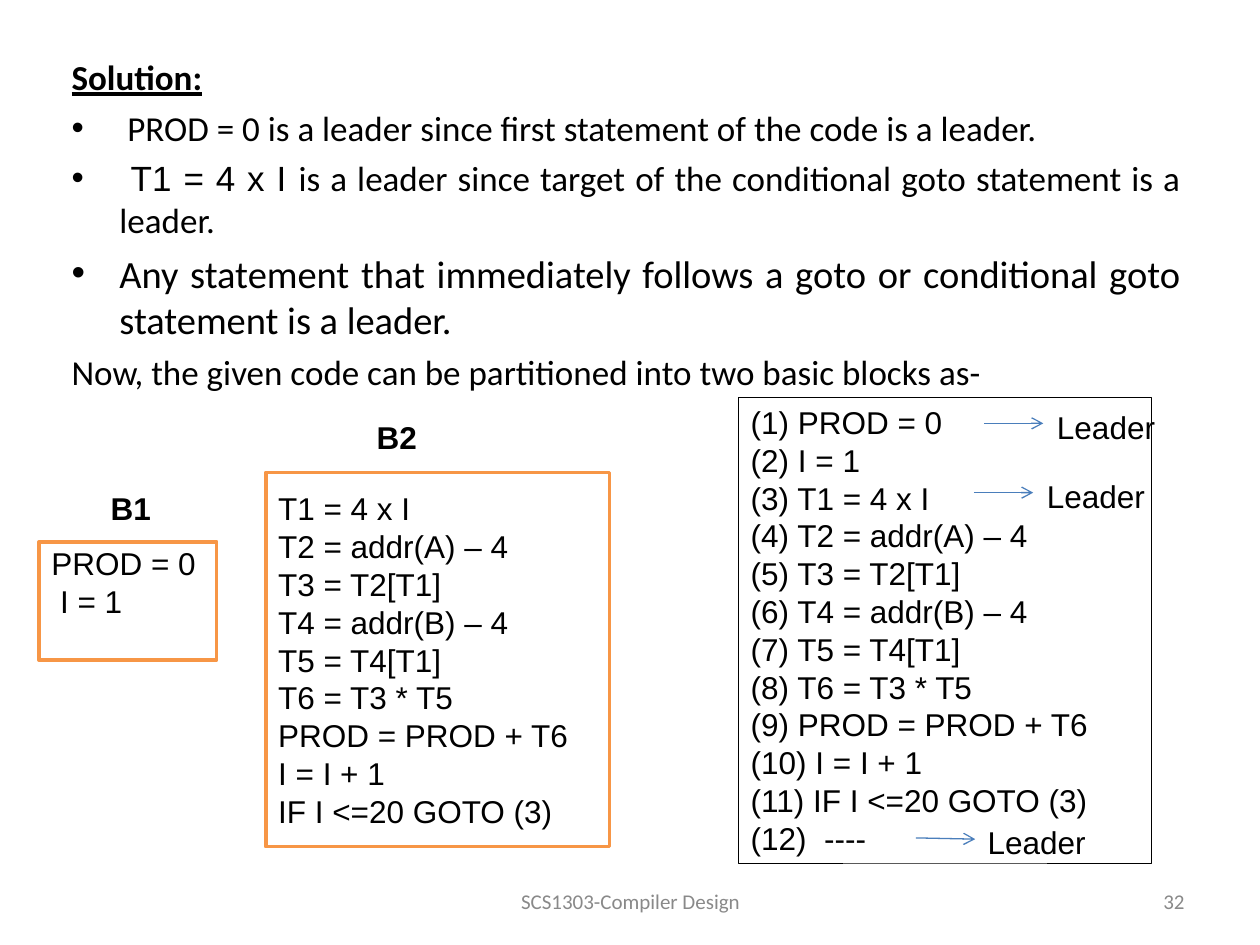
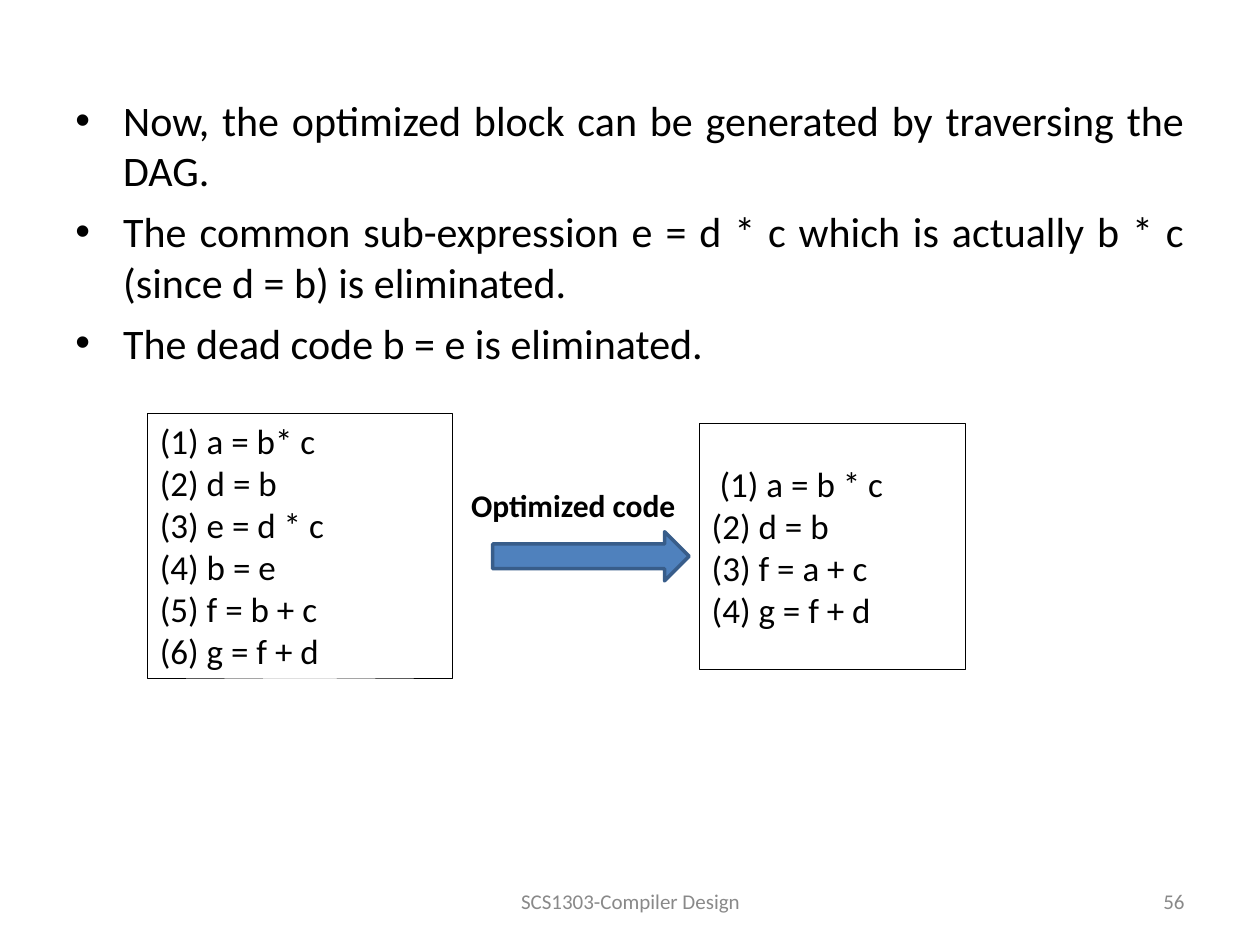
"""Build two compiler design slides: basic blocks with leaders, and DAG optimization."""
import pptx
import pptx.dml.color
import pptx.enum.shapes
import pptx.enum.text
import pptx.oxml
import pptx.oxml.ns
import pptx.util

Inches = pptx.util.Inches
Pt = pptx.util.Pt
Align = pptx.enum.text.PP_ALIGN
Anchor = pptx.enum.text.MSO_ANCHOR
Shape = pptx.enum.shapes.MSO_SHAPE
SPACE = pptx.oxml.ns.nsdecls("a")
BLACK, GREY, ORANGE = "000000", "898989", "F79646"
BLUE, NAVY, STEEL = "4F81BD", "385D8A", "4A7EBB"


def hue(code):
    return pptx.dml.color.RGBColor.from_string(code)


def add(para, text, size, face, code=BLACK, bold=False, under=False):
    run = para.add_run()
    run.text = text
    font = run.font
    font.size, font.name = Pt(size), face
    font.bold, font.underline = bold, under
    font.color.rgb = hue(code)


deck = pptx.Presentation()
deck.slide_width, deck.slide_height = Inches(10), Inches(7.5)
blank = deck.slide_layouts[6]
blocks, dag = [deck.slides.add_slide(blank) for _ in range(2)]

points = [
    (blocks, 0.47, 0.39, 6.8, 5, [
        (False, [("Solution:", 20, "Calibri", True)]),
        (True, [(" PROD = 0 is a leader since first statement of the code is a leader.",
                 20, "Calibri", False)]),
        (True, [(" T1 = 4 x I ", 20, "Arial", False),
                ("is a leader since target of the conditional goto statement is a leader.",
                 20, "Calibri", False)]),
        (True, [("Any statement that immediately follows a goto or conditional goto "
                 "statement is a leader.", 22, "Calibri", False)]),
        (False, [("Now, the given code can be partitioned into two basic blocks as-",
                  20, "Calibri", False)]),
    ]),
    (dag, 0.5, 0.7, 6, 6, [
        (True, [(text, 24, "Calibri", False)]) for text in (
            "Now, the optimized block can be generated by traversing the DAG.",
            "The common sub-expression e = d * c which is actually b * c "
            "(since d = b) is eliminated.",
            "The dead code b = e is eliminated.")
    ]),
]
for slide, left, top, height, gap, rows in points:
    box = slide.shapes.add_textbox(Inches(left), Inches(top), Inches(9), Inches(height))
    frame = box.text_frame
    frame.word_wrap = True
    for i, (dot, runs) in enumerate(rows):
        para = frame.add_paragraph() if i else frame.paragraphs[0]
        para.alignment = Align.JUSTIFY
        para.space_before = Pt(gap if i else 0)
        props = para._p.get_or_add_pPr()
        props.set("marL", str(Inches(0.38)))
        props.set("indent", str(Inches(-0.38)))
        if dot:
            for mark in ('buFont {} typeface="Arial"', 'buChar {} char="•"'):
                props.append(pptx.oxml.parse_xml("<a:" + mark.format(SPACE) + "/>"))
        for text, size, face, head in runs:
            add(para, text, size, face, bold=head, under=head)

for slide, number in ((blocks, "32"), (dag, "56")):
    for left, width, align, text in (
            (3.42, 3.17, Align.CENTER, "SCS1303-Compiler Design"),
            (7.17, 2.33, Align.RIGHT, number)):
        box = slide.shapes.add_textbox(Inches(left), Inches(6.95), Inches(width), Inches(0.4))
        frame = box.text_frame
        frame.word_wrap = True
        frame.vertical_anchor = Anchor.MIDDLE
        frame.paragraphs[0].alignment = align
        add(frame.paragraphs[0], text, 12, "Calibri", GREY)

first = ["PROD = 0", " I = 1"]
loop = ["T1 = 4 x I", "T2 = addr(A) – 4", "T3 = T2[T1]", "T4 = addr(B) – 4",
        "T5 = T4[T1]", "T6 = T3 * T5", "PROD = PROD + T6", "I = I + 1",
        "IF I <=20 GOTO (3)"]
whole = [f"({n}) {line.strip()}" for n, line in enumerate(first + loop, 1)] + ["(12)  ----"]
before = ["(1) a = b* c", "(2) d = b", "(3) e = d * c", "(4) b = e", "(5) f = b + c",
          "(6) g = f + d"]
after = [" (1) a = b * c", "(2) d = b", "(3) f = a + c", "(4) g = f + d"]
codes = [
    (blocks, 0.31, 4.3, 1.41, 0.94, ORANGE, 2, "Arial", 18, Anchor.TOP, 0.02, first),
    (blocks, 2.11, 3.75, 2.73, 2.97, ORANGE, 2, "Arial", 18, Anchor.MIDDLE, 0.05, loop),
    (blocks, 5.86, 3.15, 3.28, 3.7, BLACK, 0.25, "Arial", 18, Anchor.TOP, 0.05, whole),
    (dag, 1.17, 3.28, 2.42, 2.1, BLACK, 0.25, "Calibri", 20, Anchor.TOP, 0.05, before),
    (dag, 5.55, 3.36, 2.11, 1.95, BLACK, 0.25, "Calibri", 20, Anchor.MIDDLE, 0.05, after),
]
for slide, left, top, width, height, edge, weight, face, size, anchor, inset, lines in codes:
    box = slide.shapes.add_shape(
        Shape.RECTANGLE, Inches(left), Inches(top), Inches(width), Inches(height))
    box.shadow.inherit = False
    box.fill.background()
    box.line.color.rgb = hue(edge)
    box.line.width = Pt(weight)
    frame = box.text_frame
    frame.word_wrap = True
    frame.vertical_anchor = anchor
    frame.margin_top = Inches(inset)
    for i, line in enumerate(lines):
        para = frame.add_paragraph() if i else frame.paragraphs[0]
        para.alignment = Align.LEFT
        add(para, line, size, face)

for left, top, drop in ((7.81, 3.36, 0), (7.73, 3.91, 0), (7.27, 6.65, 0.01)):
    arrow = blocks.shapes.add_connector(
        pptx.enum.shapes.MSO_CONNECTOR.STRAIGHT,
        Inches(left), Inches(top), Inches(left + 0.47), Inches(top + drop))
    arrow.line.color.rgb = hue(STEEL)
    arrow.line.width = Pt(0.75)
    arrow.line._get_or_add_ln().append(
        pptx.oxml.parse_xml(f'<a:tailEnd {SPACE} type="arrow"/>'))
    arrow._element.spPr.append(pptx.oxml.parse_xml(f"<a:effectLst {SPACE}/>"))

arrow = dag.shapes.add_shape(
    Shape.RIGHT_ARROW, Inches(3.91), Inches(4.22), Inches(1.56), Inches(0.39))
arrow.shadow.inherit = False
arrow.fill.solid()
arrow.fill.fore_color.rgb = hue(BLUE)
arrow.line.color.rgb = hue(NAVY)
arrow.line.width = Pt(2)

labels = [
    (blocks, 0.78, 3.83, 0.52, "B1", "Arial", True),
    (blocks, 2.89, 3.27, 0.52, "B2", "Arial", True),
    (blocks, 8.29, 3.19, 0.98, "Leader", "Arial", False),
    (blocks, 8.21, 3.74, 0.98, "Leader", "Arial", False),
    (blocks, 7.74, 6.48, 0.98, "Leader", "Arial", False),
    (dag, 3.64, 3.81, 1.83, "Optimized code", "Calibri", True),
]
for slide, left, top, width, text, face, bold in labels:
    box = slide.shapes.add_textbox(Inches(left), Inches(top), Inches(width), Inches(0.4))
    box.text_frame.word_wrap = False
    add(box.text_frame.paragraphs[0], text, 18, face, bold=bold)

deck.save("out.pptx")
